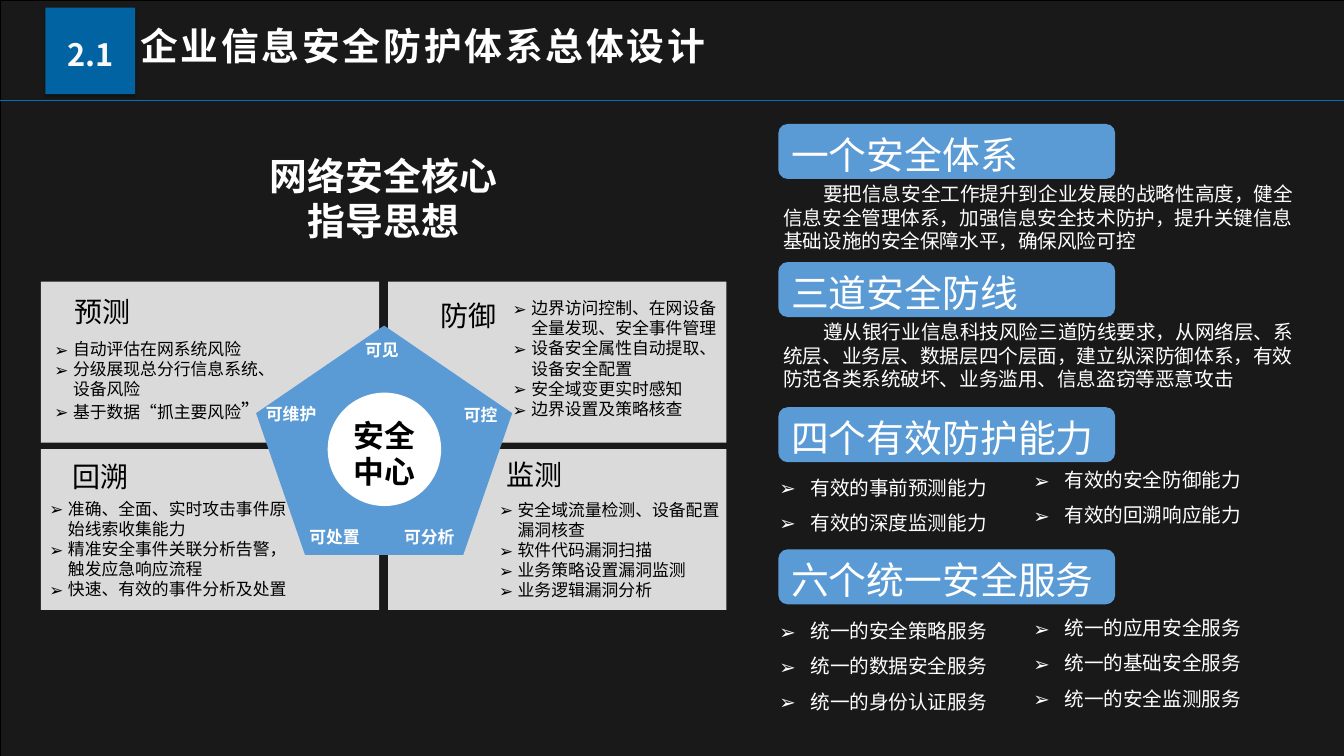
from collections import namedtuple
from dataclasses import dataclass

from lxml.etree import SubElement
from pptx import Presentation
from pptx.dml.color import RGBColor
from pptx.enum.shapes import MSO_CONNECTOR, MSO_SHAPE
from pptx.enum.text import MSO_ANCHOR, PP_ALIGN
from pptx.oxml.ns import qn
from pptx.util import Inches, Pt

Box = namedtuple("Box", "left top width height")


@dataclass(frozen=True)
class Theme:
    font: str = "Noto Sans CJK SC"
    black: str = "000000"
    white: str = "FFFFFF"
    number: str = "F9F9F9"
    navy: str = "0072BC"
    blue: str = "5B9BD5"
    panel: str = "F2F2F2"
    title: int = 54
    badge: int = 44
    heading: int = 40
    body: int = 28
    small: int = 24


THEME = Theme()


def place(box):
    return [Inches(length) for length in box]


def set_alpha(fill, percent):
    color = fill._xPr.find(qn("a:solidFill"))[0]
    SubElement(color, qn("a:alpha"), val=str(percent * 1000))


def add_block(slide, kind, box, color, alpha=100):
    block = slide.shapes.add_shape(kind, *place(box))
    block.shadow.inherit = False
    block.fill.solid()
    block.fill.fore_color.rgb = RGBColor.from_string(color)
    if alpha < 100:
        set_alpha(block.fill, alpha)
    block.line.fill.background()
    return block


def add_run(paragraph, text, size, color, bold=False, spacing=0):
    run = paragraph.add_run()
    run.text = text
    run.font.size = Pt(size)
    run.font.bold = bold
    run.font.color.rgb = RGBColor.from_string(color)
    run.font.name = THEME.font
    properties = run.font._element
    properties.set("lang", "zh-CN")
    if spacing:
        properties.set("spc", str(spacing * 100))
    SubElement(properties, qn("a:ea"), typeface=THEME.font)


def set_indent(paragraph, margin, first):
    properties = paragraph._p.get_or_add_pPr()
    properties.set("marL", str(Inches(margin)))
    properties.set("indent", str(Inches(first)))
    return properties


def write(frame, lines, size, color, bold=False, align=PP_ALIGN.LEFT,
          spacing=None, hang=0, first=0, tracking=0):
    frame.word_wrap = True
    for index, line in enumerate(lines):
        paragraph = frame.paragraphs[0] if index == 0 else frame.add_paragraph()
        if hang:
            properties = set_indent(paragraph, hang, -hang)
            SubElement(properties, qn("a:buFont"), typeface=THEME.font)
            SubElement(properties, qn("a:buChar"), char="➢")
        elif first:
            set_indent(paragraph, 0, first)
        paragraph.alignment = align
        if spacing:
            paragraph.line_spacing = spacing
        runs = [(line, size)] if isinstance(line, str) else line
        for text, run_size in runs:
            add_run(paragraph, text, run_size, color, bold, tracking)


def add_text(slide, box, lines, size, color, **style):
    write(slide.shapes.add_textbox(*place(box)).text_frame, lines, size, color, **style)


def add_backdrop(slide, box):
    backdrop = add_block(slide, MSO_SHAPE.RECTANGLE, box, THEME.black, 90)
    backdrop.line.color.rgb = RGBColor.from_string(THEME.black)
    backdrop.line.width = Pt(1)


def add_header(slide, box, number, title):
    bottom = box.top + box.height
    rule = slide.shapes.add_connector(
        MSO_CONNECTOR.STRAIGHT,
        *place((box.left, bottom, box.left + box.width, bottom)))
    rule.line.color.rgb = RGBColor.from_string(THEME.navy)
    rule.line.width = Pt(2.25)
    SubElement(rule._element.spPr, qn("a:effectLst"))
    add_text(slide, Box(box.left + 2.68, box.top + 0.5, 23, 1.45), [title],
             THEME.title, THEME.white, bold=True, spacing=0.9, tracking=4)
    badge = add_block(slide, MSO_SHAPE.RECTANGLE,
                      Box(box.left + 0.9, box.top + 0.15, 1.78, 1.72), THEME.navy, 85)
    effects = badge._element.spPr.find(qn("a:effectLst"))
    shadow = SubElement(effects, qn("a:outerShdw"), blurRad=str(Pt(4)),
                        dist=str(Pt(3)), dir="5400000", rotWithShape="0")
    shade = SubElement(shadow, qn("a:srgbClr"), val=THEME.black)
    SubElement(shade, qn("a:alpha"), val="40000")
    badge.text_frame.vertical_anchor = MSO_ANCHOR.MIDDLE
    write(badge.text_frame, [number], THEME.badge, THEME.number, bold=True,
          align=PP_ALIGN.CENTER, spacing=1.2)


def add_panels(slide, box):
    width, height = 6.71, 3.19
    for left in (box.left, box.left + box.width - width):
        for top in (box.top, box.top + box.height - height):
            add_block(slide, MSO_SHAPE.RECTANGLE, Box(left, top, width, height), THEME.panel, 89)


def add_center(slide, box, core, labels):
    add_block(slide, MSO_SHAPE.REGULAR_PENTAGON, box, THEME.blue)
    add_block(slide, MSO_SHAPE.OVAL, Box(box.left + 1.42, box.top + 1.33, 2.25, 2.25), THEME.white)
    add_text(slide, Box(box.left + 1.8, box.top + 1.75, 1.48, 1.58), core,
             THEME.badge, THEME.black, bold=True, align=PP_ALIGN.CENTER)
    for label, across, down in labels:
        add_text(slide, Box(box.left + across, box.top + down, 1.57, 0.5), [label],
                 THEME.small, THEME.white, bold=True, align=PP_ALIGN.CENTER)


def add_quadrant(slide, box, heading, heading_at, points, points_box):
    across, down = heading_at
    add_text(slide, Box(box.left + across, box.top + down, 1.92, 0.77), [heading],
             THEME.heading, THEME.black, align=PP_ALIGN.CENTER)
    across, down, width, height = points_box
    add_text(slide, Box(box.left + across, box.top + down, width, height), points,
             THEME.small, THEME.black, hang=0.37)


def add_section(slide, box, heading, statement=None, columns=()):
    label = add_block(slide, MSO_SHAPE.ROUNDED_RECTANGLE,
                      Box(box.left, box.top, 6.68, 1.09), THEME.blue)
    frame = label.text_frame
    frame.margin_left = frame.margin_right = Inches(0.2)
    frame.margin_top = frame.margin_bottom = Inches(0.1)
    frame.vertical_anchor = MSO_ANCHOR.TOP
    write(frame, [heading], THEME.title, THEME.white)
    if statement:
        add_text(slide, Box(box.left, box.top + 1.1, box.width, 1.51), [statement],
                 THEME.body, THEME.white, first=0.79)
    for index, (down, points) in enumerate(columns):
        add_text(slide, Box(box.left - 0.08 + index * 5.04, box.top + down, 5.04, box.height - 1.09),
                 points, THEME.body, THEME.white, hang=0.62, spacing=1.5)


def main():
    deck = Presentation()
    deck.slide_width, deck.slide_height = Inches(26.66), Inches(15)
    slide = deck.slides.add_slide(deck.slide_layouts[6])
    add_backdrop(slide, Box(0, 0, 26.66, 15))
    add_header(slide, Box(0, 0, 26.66, 1.99), "2.1", "企业信息安全防护体系总体设计")

    add_text(slide, Box(5.06, 2.98, 5.09, 1.92), ["网络安全核心指导思想"],
             THEME.title, THEME.white, bold=True, align=PP_ALIGN.CENTER)
    matrix = Box(0.81, 5.59, 13.6, 6.51)
    add_panels(slide, matrix)
    add_center(slide, Box(5.08, 6.46, 5.08, 4.55), ["安全", "中心"], [
        ("可见", 1.71, 0.23), ("可控", 3.67, 1.52), ("可分析", 2.65, 3.95),
        ("可处置", 0.77, 3.95), ("可维护", -0.09, 1.5)])
    quadrants = [
        (0, 0, "预测", (0.27, 0.2),
         ["自动评估在网系统风险", "分级展现总分行信息系统、设备风险",
          [("基于数据“抓主要风险", THEME.small), ("”", THEME.body)]],
         (0.17, 1.08, 4.75, 1.78)),
        (1, 0, "防御", (0.63, 0.28),
         ["边界访问控制、在网设备全量发现、安全事件管理", "设备安全属性自动提取、设备安全配置",
          "安全域变更实时感知", "边界设置及策略核查"],
         (2.37, 0.27, 4.27, 2.52)),
        (0, 1, "回溯", (0.22, 0.15),
         ["准确、全面、实时攻击事件原始线索收集能力", "精准安全事件关联分析告警，触发应急响应流程",
          "快速、有效的事件分析及处置"],
         (0.07, 0.93, 4.93, 2.12)),
        (1, 1, "监测", (1.94, 0.11),
         ["安全域流量检测、设备配置漏洞核查", "软件代码漏洞扫描", "业务策略设置漏洞监测", "业务逻辑漏洞分析"],
         (2.1, 0.95, 4.58, 2.12))]
    for column, row, *content in quadrants:
        panel = Box(matrix.left + column * 6.89, matrix.top + row * 3.32, 6.71, 3.19)
        add_quadrant(slide, panel, *content)

    add_section(slide, Box(15.44, 2.46, 10.56, 2.6), "一个安全体系",
                "要把信息安全工作提升到企业发展的战略性高度，健全信息安全管理体系，加强信息安全技术防护，"
                "提升关键信息基础设施的安全保障水平，确保风险可控")
    add_section(slide, Box(15.44, 5.2, 10.56, 2.64), "三道安全防线",
                "遵从银行业信息科技风险三道防线要求，从网络层、系统层、业务层、数据层四个层面，"
                "建立纵深防御体系，有效防范各类系统破坏、业务滥用、信息盗窃等恶意攻击")
    add_section(slide, Box(15.44, 8.08, 10.56, 2.6), "四个有效防护能力", columns=[
        (1.07, ["有效的事前预测能力", "有效的深度监测能力"]),
        (0.92, ["有效的安全防御能力", "有效的回溯响应能力"])])
    add_section(slide, Box(15.44, 10.9, 10.56, 3.31), "六个统一安全服务", columns=[
        (1.1, ["统一的安全策略服务", "统一的数据安全服务", "统一的身份认证服务"]),
        (1.04, ["统一的应用安全服务", "统一的基础安全服务", "统一的安全监测服务"])])
    deck.save("out.pptx")


if __name__ == "__main__":
    main()
